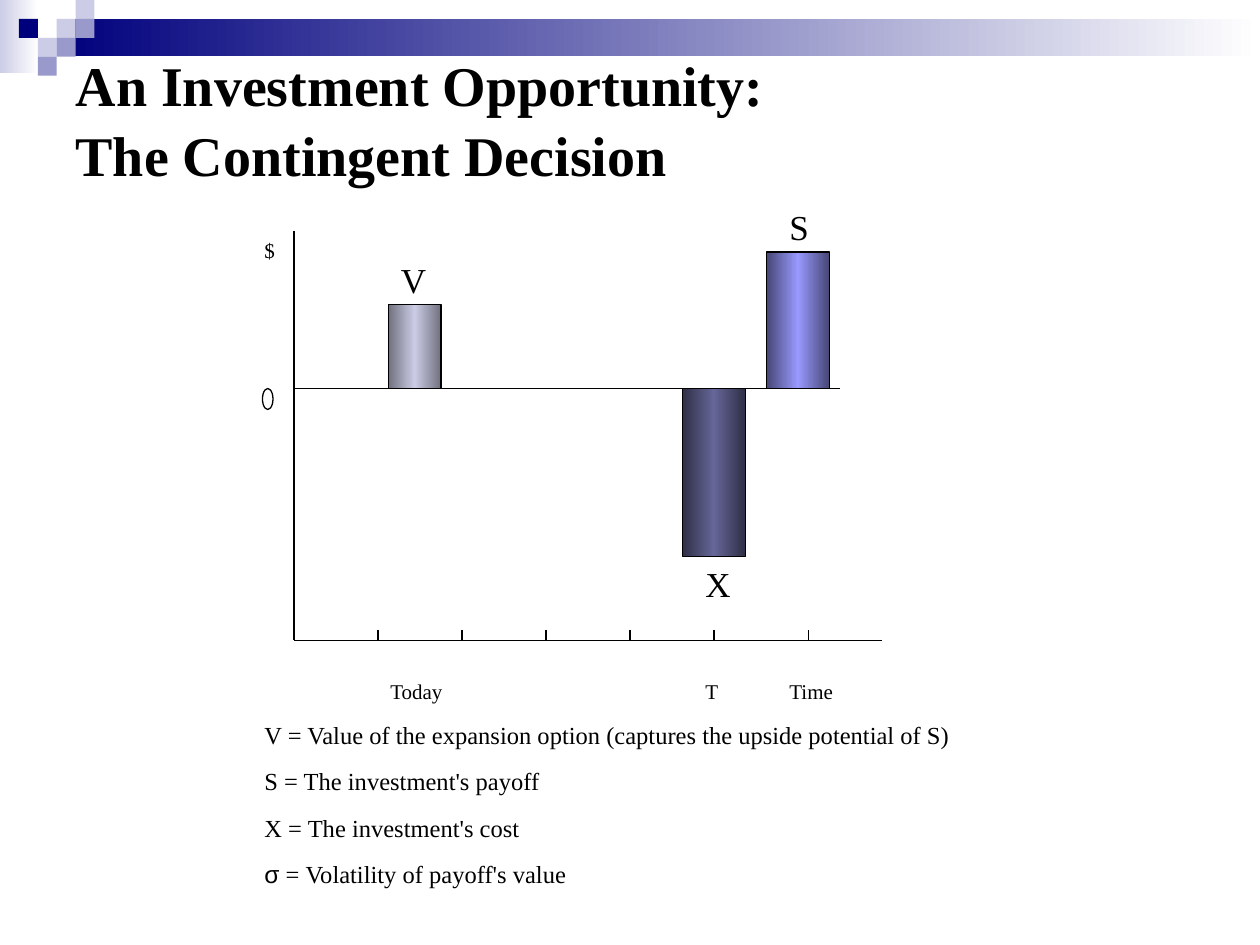
from lxml.etree import SubElement
from pptx import Presentation
from pptx.dml.color import RGBColor
from pptx.enum.shapes import MSO_CONNECTOR, MSO_SHAPE
from pptx.enum.text import MSO_ANCHOR, MSO_AUTO_SIZE, PP_ALIGN
from pptx.oxml.ns import qn
from pptx.util import Pt


def rgb(value):
    return RGBColor.from_string(value)


class SlideBuilder:
    """Hold the slide and its style, and add each kind of element."""

    font = "Times New Roman"
    ink = "000000"
    line_width = 0.75

    def __init__(self, slide):
        self.slide = slide

    def style(self, p, size, bold=False):
        p.alignment = PP_ALIGN.LEFT
        p.font.name = self.font
        p.font.size = Pt(size)
        p.font.bold = bold
        p.font.color.rgb = rgb(self.ink)

    def title(self, text, x, y, w, h, size):
        sp = self.slide.shapes.title
        sp.left, sp.top, sp.width, sp.height = Pt(x), Pt(y), Pt(w), Pt(h)
        tf = sp.text_frame
        tf.auto_size = MSO_AUTO_SIZE.NONE
        tf.vertical_anchor = MSO_ANCHOR.MIDDLE
        tf.margin_bottom = Pt(37)
        tf.text = text
        p = tf.paragraphs[0]
        p.line_spacing = 1.04
        self.style(p, size, bold=True)

    def text(self, x, y, w, h, size, lines, gap=0):
        tf = self.slide.shapes.add_textbox(Pt(x), Pt(y), Pt(w), Pt(h)).text_frame
        tf.word_wrap = True
        tf.auto_size = MSO_AUTO_SIZE.SHAPE_TO_FIT_TEXT
        for i, line in enumerate(lines):
            p = tf.paragraphs[0] if i == 0 else tf.add_paragraph()
            if i:
                p.space_before = Pt(gap)
            self.style(p, size)
            for part, font in line:
                r = p.add_run()
                r.text = part
                if font:
                    r.font.name = font

    def label(self, text, x, y, w, h, size):
        self.text(x, y, w, h, size, [[(text, None)]])

    def shape(self, x, y, w, h, colors=(), outline=True, kind=MSO_SHAPE.RECTANGLE):
        sp = self.slide.shapes.add_shape(kind, Pt(x), Pt(y), Pt(w), Pt(h))
        sp.shadow.inherit = False
        if not colors:
            sp.fill.background()
        elif len(colors) == 1:
            sp.fill.solid()
            sp.fill.fore_color.rgb = rgb(colors[0])
        else:
            self.gradient(sp, colors)
        if outline:
            sp.line.color.rgb = rgb(self.ink)
            sp.line.width = Pt(self.line_width)
        else:
            sp.line.fill.background()

    def gradient(self, sp, colors):
        sp.fill.gradient()
        sp.fill.gradient_angle = 0
        stops = sp._element.spPr.find(qn("a:gradFill")).find(qn("a:gsLst"))
        for stop in list(stops):
            stops.remove(stop)
        for i, color in enumerate(colors):
            pos = str(100000 * i // (len(colors) - 1))
            stop = SubElement(stops, qn("a:gs"), pos=pos)
            SubElement(stop, qn("a:srgbClr"), val=color)

    def line(self, x1, y1, x2, y2):
        cn = self.slide.shapes.add_connector(
            MSO_CONNECTOR.STRAIGHT, Pt(x1), Pt(y1), Pt(x2), Pt(y2))
        cn.line.color.rgb = rgb(self.ink)
        cn.line.width = Pt(self.line_width)
        SubElement(cn._element.spPr, qn("a:effectLst"))


def main():
    prs = Presentation()
    prs.slide_width, prs.slide_height = Pt(720), Pt(540)
    s = SlideBuilder(prs.slides.add_slide(prs.slide_layouts[5]))

    navy, blue, pale, white = "00007D", "9999CC", "CCCCE6", "FFFFFF"
    s.shape(0, 0, 22, 42, (pale, white), outline=False)
    s.shape(32.4, 10.8, 687.6, 21.3, (navy, white), outline=False)
    square = 10.8
    for col, row, color in (
        (3, 1, pale), (4, 0, pale), (4, 1, blue), (2, 2, pale),
        (1, 1, navy), (3, 2, blue), (2, 3, blue),
    ):
        s.shape(col * square, row * square, square, square, (color,), outline=False)

    s.title("An Investment Opportunity: \vThe Contingent Decision", 36, 36, 648, 96, 32)

    axis_x, axis_y, zero_y = 168, 366, 222
    s.line(axis_x, 132, axis_x, axis_y)
    s.line(axis_x, axis_y, 504, axis_y)
    for x in (*range(216, 409, 48), 462):
        s.line(x, axis_y - 6, x, axis_y)
    s.line(axis_x, zero_y, 480, zero_y)
    s.shape(150, zero_y, 6, 12, kind=MSO_SHAPE.OVAL)

    for x, y, w, h, edge, middle in (
        (390, zero_y, 36, 96, "2F2F46", "666699"),
        (222, zero_y - 48, 30, 48, "717180", "CCCCE6"),
        (438, zero_y - 78, 36, 78, "464675", "9999FF"),
    ):
        s.shape(x, y, w, h, (edge, middle, edge))

    for text, x, y, w in (
        ("Today", 216, 384, 72), ("T", 396, 384, 60),
        ("Time", 444, 384, 126), ("$", 144, 132, 24),
    ):
        s.label(text, x, y, w, 21.6, 12)
    for text, x, y, w in (("V", 222, 144, 102), ("X", 396, 318, 60), ("S", 444, 114, 54)):
        s.label(text, x, y, w, 31.7, 20)

    s.text(144, 408, 450, 101, 14, [
        [("V = Value of the expansion option (captures the upside potential of S)", None)],
        [("S = The investment's payoff", None)],
        [("X = The investment's cost", None)],
        [("σ", "Arial"), (" = Volatility of payoff's value", None)],
    ], gap=9.6)

    prs.save("out.pptx")


if __name__ == "__main__":
    main()
